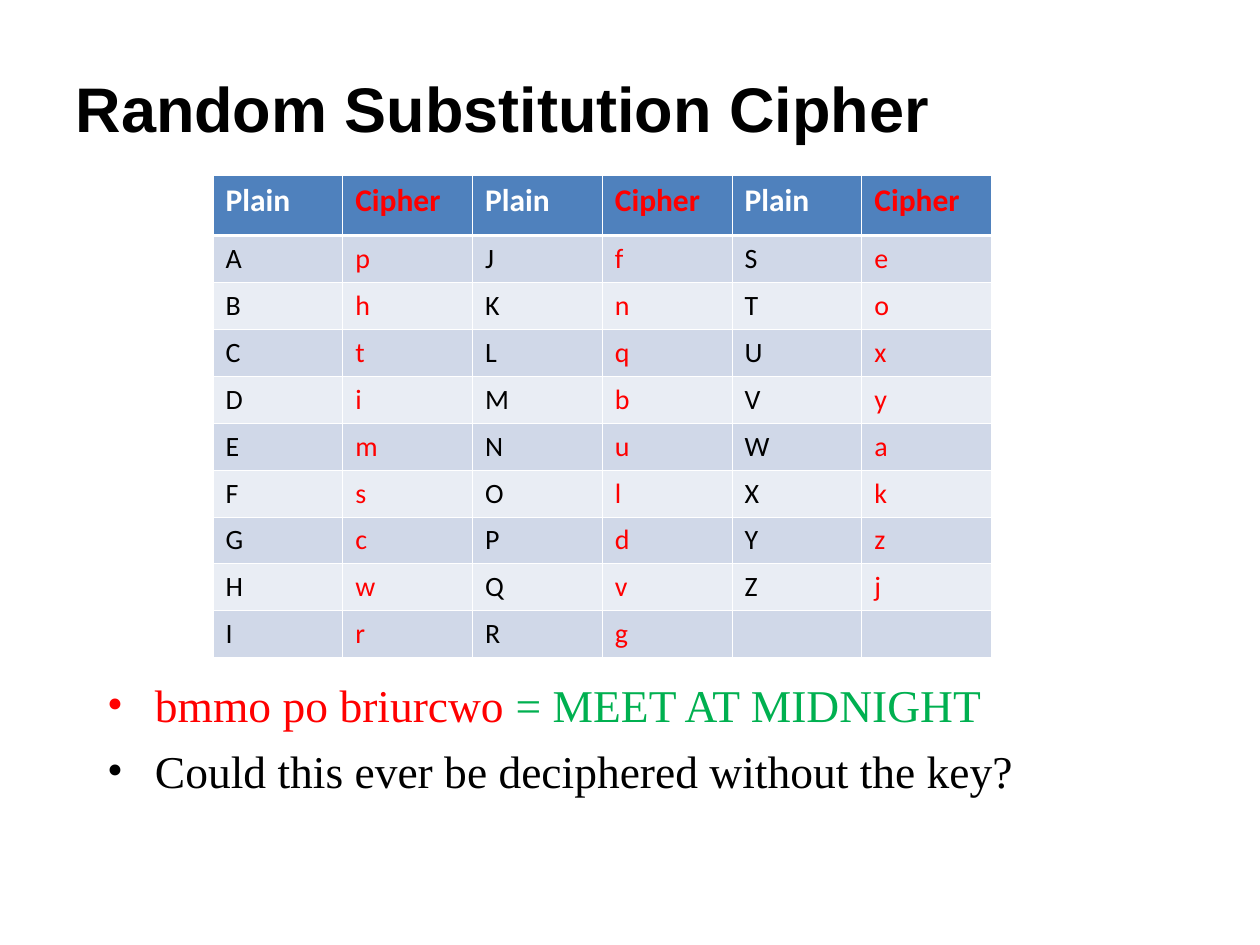
import lxml.etree
import pptx
import pptx.dml.color
import pptx.enum.text
import pptx.oxml.ns
import pptx.util

SCALE = 9144  # EMU per px, 100 px to the inch
RED, GREEN, BLACK, WHITE = "FF0000", "00B050", "000000", "FFFFFF"


def color(value):
    return pptx.dml.color.RGBColor.from_string(value)


def add_element(parent, tag, **attributes):
    return lxml.etree.SubElement(parent, pptx.oxml.ns.qn(tag), attributes)


presentation = pptx.Presentation()
presentation.slide_width = 1000 * SCALE
presentation.slide_height = 750 * SCALE
slide = presentation.slides.add_slide(presentation.slide_layouts[1])
title, body = slide.placeholders

# Placeholder positions
for shape, box in ((title, (50, 31, 900, 109)), (body, (75, 532, 900, 130))):
    shape.left, shape.top, shape.width, shape.height = [px * SCALE for px in box]
    shape.text_frame.auto_size = pptx.enum.text.MSO_AUTO_SIZE.NONE

# Title
title.text_frame.text = "Random Substitution Cipher"
title.text_frame.vertical_anchor = pptx.enum.text.MSO_ANCHOR.MIDDLE
paragraph = title.text_frame.paragraphs[0]
paragraph.alignment = pptx.enum.text.PP_ALIGN.LEFT
paragraph.font.name = "Arial"
paragraph.font.size = pptx.util.Pt(36)
paragraph.font.bold = True
paragraph.font.color.rgb = color(BLACK)

# Cipher key: three plain/cipher column pairs of nine letters each
plain = "ABCDEFGHIJKLMNOPQRSTUVWXYZ"
cipher = "phtimscwrfnqbuldvgeoxyakzj"
pairs = list(zip(plain, cipher)) + [("", "")]
rows = [["Plain", "Cipher"] * 3]
for index in range(9):
    rows.append([letter for pair in pairs[index::9] for letter in pair])

table = slide.shapes.add_table(
    10, 6, 169 * SCALE, 139 * SCALE, 618 * SCALE, 381 * SCALE).table
for column in table.columns:
    column.width = 103 * SCALE
for row_index, texts in enumerate(rows):
    header = row_index == 0
    table.rows[row_index].height = (48 if header else 37) * SCALE
    for column_index, text in enumerate(texts):
        cell = table.cell(row_index, column_index)
        cell.text = text
        if not text:
            cell.margin_top = cell.margin_bottom = 0
        font = cell.text_frame.paragraphs[0].font
        font.name = "Calibri"
        font.size = pptx.util.Pt(18 if header else 16)
        font.bold = header
        plain_color = WHITE if header else BLACK
        font.color.rgb = color(RED if column_index % 2 else plain_color)

        # White borders, heavier under the header
        properties = cell._tc.get_or_add_tcPr()
        for side in "LRTB":
            heavy = (row_index, side) in ((0, "B"), (1, "T"))
            width = pptx.util.Pt(1.47 if heavy else 0.45)
            line = add_element(properties, "a:ln" + side, w=str(width))
            add_element(add_element(line, "a:solidFill"), "a:srgbClr", val=WHITE)

        # Header and banded fills
        band = "D0D8E8" if row_index % 2 else "E9EDF4"
        cell.fill.solid()
        cell.fill.fore_color.rgb = color("4F81BD" if header else band)

# Bulleted list
bullets = [
    [("bmmo po briurcwo ", RED), ("= MEET AT MIDNIGHT", GREEN)],
    [("Could this ever be deciphered without the key?", BLACK)],
]
frame = body.text_frame
for index, parts in enumerate(bullets):
    paragraph = frame.add_paragraph() if index else frame.paragraphs[0]
    paragraph.space_before = pptx.util.Pt(6.5)
    properties = paragraph._p.get_or_add_pPr()
    properties.set("marL", str(38 * SCALE))
    properties.set("indent", str(-38 * SCALE))
    add_element(add_element(properties, "a:buClr"), "a:srgbClr", val=parts[0][1])
    add_element(properties, "a:buFont", typeface="Times New Roman")
    add_element(properties, "a:buChar", char="•")
    paragraph.font.name = "Times New Roman"
    paragraph.font.size = pptx.util.Pt(26)
    for text, run_color in parts:
        run = paragraph.add_run()
        run.text = text
        run.font.color.rgb = color(run_color)

presentation.save("out.pptx")
